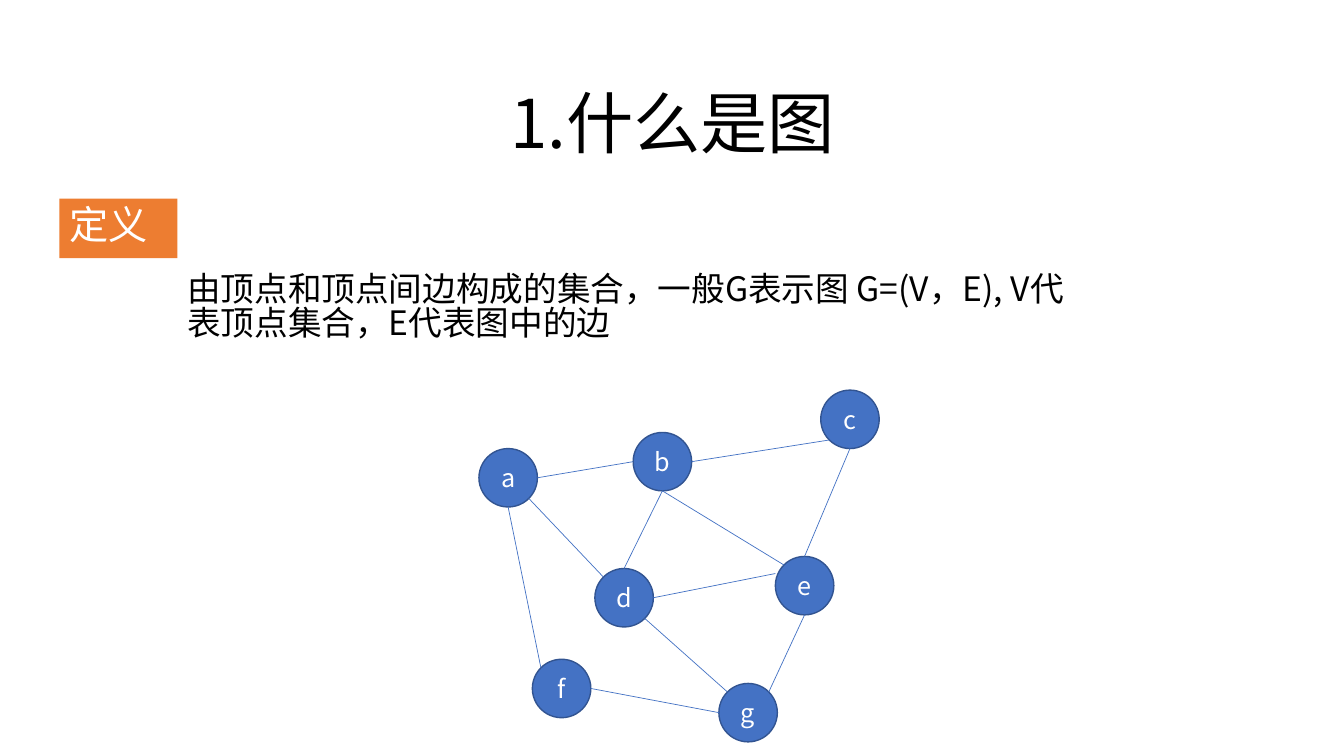
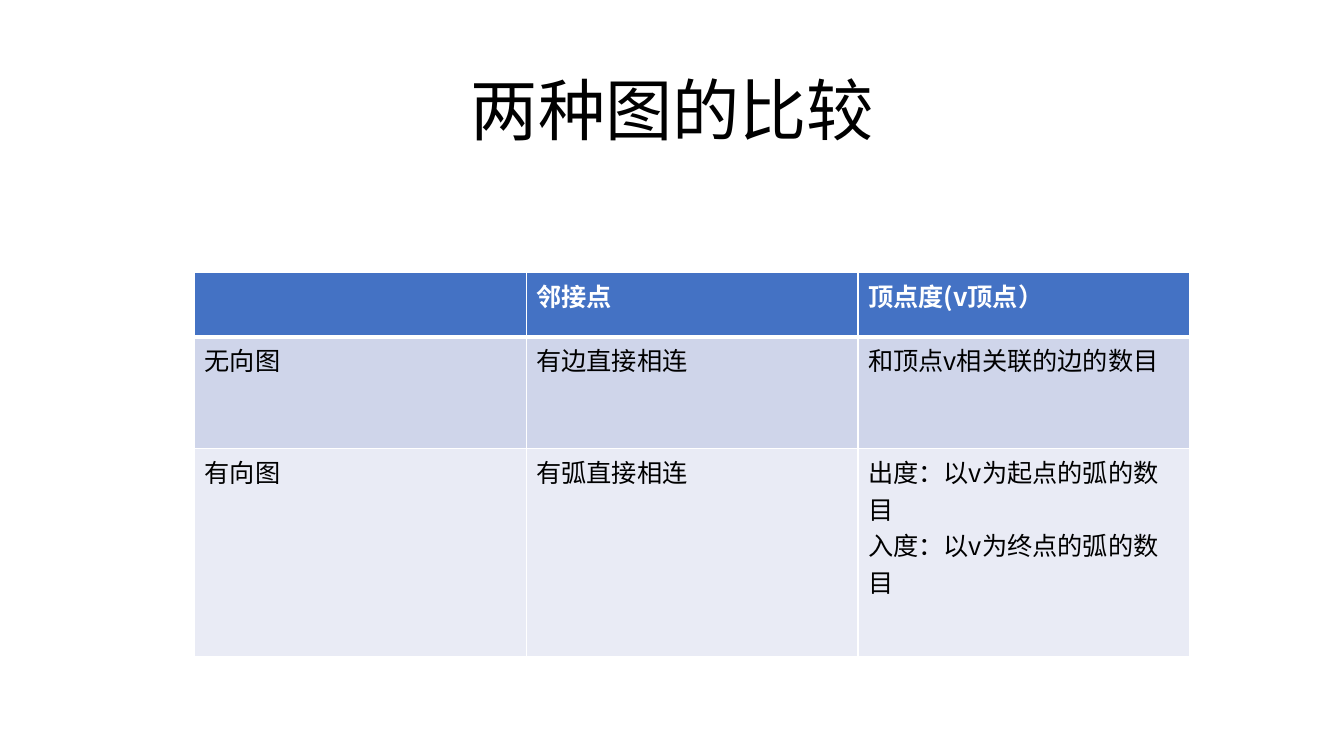
"""Build two slides on graphs: the definition and a comparison table."""
from lxml import etree
from pptx import Presentation
from pptx.dml.color import RGBColor
from pptx.enum.shapes import MSO_CONNECTOR, MSO_SHAPE
from pptx.enum.text import MSO_ANCHOR, MSO_AUTO_SIZE, PP_ALIGN
from pptx.oxml.ns import qn
from pptx.util import Inches, Pt

STRAIGHT = MSO_CONNECTOR.STRAIGHT
OVAL, RECTANGLE = MSO_SHAPE.OVAL, MSO_SHAPE.RECTANGLE
TOP, MIDDLE = MSO_ANCHOR.TOP, MSO_ANCHOR.MIDDLE
LEFT, CENTER = PP_ALIGN.LEFT, PP_ALIGN.CENTER
NO_AUTOFIT = MSO_AUTO_SIZE.NONE

FONT = "Noto Sans CJK SC"
BLACK, WHITE = "000000", "FFFFFF"
BLUE, DARK_BLUE, ORANGE = "4472C4", "325491", "ED7D31"
BANDS = ["CFD5EA", "E9EBF5"]
TITLE_ONLY = 5
LINE_SPACING = 0.83
VERTEX_SIZE = 0.58
DIAGONAL = 0.5 ** 0.5
SITES = {
    "top": (0, 0, -1),
    "top left": (1, -DIAGONAL, -DIAGONAL),
    "left": (2, -1, 0),
    "bottom left": (3, -DIAGONAL, DIAGONAL),
    "bottom": (4, 0, 1),
    "bottom right": (5, DIAGONAL, DIAGONAL),
    "right": (6, 1, 0),
    "top right": (7, DIAGONAL, -DIAGONAL),
}

VERTICES = {
    "a": (4.75, 4.45),
    "b": (6.28, 4.29),
    "c": (8.14, 3.87),
    "d": (5.9, 5.64),
    "e": (7.69, 5.52),
    "f": (5.28, 6.54),
    "g": (7.13, 6.78),
}
EDGES = [
    ("a", "right", "b", "left"),
    ("b", "right", "c", "bottom left"),
    ("c", "bottom", "e", "top"),
    ("a", "bottom right", "d", "top left"),
    ("b", "bottom", "d", "top"),
    ("b", "bottom", "e", "top left"),
    ("a", "bottom", "f", "top left"),
    ("f", "right", "g", "left"),
    ("e", "bottom", "g", "top right"),
    ("d", "bottom right", "g", "top left"),
]
COMPARISON = [
    ["", "邻接点", "顶点度(v顶点）"],
    ["无向图", "有边直接相连", "和顶点v相关联的边的数目"],
    ["有向图", "有弧直接相连", "出度：以v为起点的弧的数目\n入度：以v为终点的弧的数目"],
]


def color(value):
    """Return the colour for a hex string."""
    return RGBColor.from_string(value)


class GraphDeck:
    """Hold the deck, its style and the current slide."""

    def __init__(self):
        """Start an empty widescreen deck."""
        self.deck = Presentation()
        self.deck.slide_width = Inches(13.33)
        self.deck.slide_height = Inches(7.5)
        self.page = None

    def add_page(self, title, top):
        """Add a slide with a centred title."""
        self.page = self.deck.slides.add_slide(self.deck.slide_layouts[TITLE_ONLY])
        box = self.page.shapes.title
        box.left, box.top = Inches(2.25), Inches(top)
        box.width, box.height = Inches(8.84), Inches(0.91)
        self.set_block(box, title, 48, BLACK, CENTER)

    def set_text(self, frame, text, size, ink, align=LEFT, bold=False):
        """Set the text of a frame and format its runs."""
        frame.text = text
        for para in frame.paragraphs:
            para.alignment = align
            for span in para.runs:
                span.font.size, span.font.bold = Pt(size), bold
                span.font.color.rgb = color(ink)
                span.font.name = FONT
                properties = span.font._element
                etree.SubElement(properties, qn("a:ea"), typeface=FONT)

    def set_block(self, box, text, size, ink, align=LEFT):
        """Set top-aligned text with tight lines."""
        frame = box.text_frame
        frame.word_wrap = True
        frame.auto_size = NO_AUTOFIT
        frame.vertical_anchor = TOP
        frame.margin_top = Inches(0.05 + 0.11 * size / 72)
        frame.margin_bottom = 0
        self.set_text(frame, text, size, ink, align)
        for para in frame.paragraphs:
            para.line_spacing = LINE_SPACING

    def add_text(self, text, left, top, width, height, size):
        """Add a plain text box."""
        box = self.page.shapes.add_textbox(
            Inches(left), Inches(top), Inches(width), Inches(height))
        self.set_block(box, text, size, BLACK)

    def add_shape(self, kind, left, top, width, height, fill):
        """Add a flat filled shape without an outline."""
        shape = self.page.shapes.add_shape(
            kind, Inches(left), Inches(top), Inches(width), Inches(height))
        shape.shadow.inherit = False
        shape.fill.solid()
        shape.fill.fore_color.rgb = color(fill)
        shape.line.fill.background()
        return shape

    def add_label(self, text, left, top, width, height):
        """Add an orange section label."""
        label = self.add_shape(RECTANGLE, left, top, width, height, ORANGE)
        self.set_block(label, text, 28, WHITE)

    def add_vertex(self, name, left, top):
        """Add a named graph vertex."""
        vertex = self.add_shape(OVAL, left, top, VERTEX_SIZE, VERTEX_SIZE, BLUE)
        vertex.line.color.rgb = color(DARK_BLUE)
        vertex.line.width = Pt(1)
        vertex.text_frame.vertical_anchor = MIDDLE
        self.set_text(vertex.text_frame, name, 18, WHITE, CENTER)
        return vertex

    def add_edge(self, start, start_site, end, end_site, lift=0):
        """Join two vertices, leaving a lifted end unattached."""
        points = []
        for vertex, site in ((start, start_site), (end, end_site)):
            _, across, down = SITES[site]
            radius = vertex.width / 2
            points += [int(vertex.left + radius * (1 + across)),
                       int(vertex.top + radius * (1 + down))]
        points[3] -= Inches(lift)
        edge = self.page.shapes.add_connector(STRAIGHT, *points)
        edge.line.color.rgb = color(BLUE)
        edge.line.width = Pt(0.5)
        etree.SubElement(edge._element.spPr, qn("a:effectLst"))
        links = edge._element.nvCxnSpPr.cNvCxnSpPr
        ends = [("a:stCxn", start, start_site), ("a:endCxn", end, end_site)]
        for tag, vertex, site in ends[:1] if lift else ends:
            etree.SubElement(links, qn(tag), id=str(vertex.shape_id),
                             idx=str(SITES[site][0]))

    def add_borders(self, cell, top, bottom):
        """Give a cell white borders, one point wide at the sides."""
        properties = cell._tc.get_or_add_tcPr()
        for side, width in (("L", 1), ("R", 1), ("T", top), ("B", bottom)):
            line = etree.SubElement(properties, qn("a:ln" + side), w=str(Pt(width)))
            fill = etree.SubElement(line, qn("a:solidFill"))
            etree.SubElement(fill, qn("a:srgbClr"), val=WHITE)

    def add_table(self, rows, left, top, column_width, heights):
        """Add a banded table with a blue header."""
        columns = len(rows[0])
        table = self.page.shapes.add_table(
            len(rows), columns, Inches(left), Inches(top),
            Inches(column_width * columns), Inches(sum(heights))).table
        for column in table.columns:
            column.width = Inches(column_width)
        for index, texts in enumerate(rows):
            table.rows[index].height = Inches(heights[index])
            header = index == 0
            fill = BLUE if header else BANDS[(index - 1) % 2]
            for cell, text in zip(table.rows[index].cells, texts):
                self.add_borders(cell, 3 if index == 1 else 1, 3 if header else 1)
                cell.fill.solid()
                cell.fill.fore_color.rgb = color(fill)
                self.set_text(cell.text_frame, text, 18,
                              WHITE if header else BLACK, bold=header)


def main():
    """Build and save the deck."""
    deck = GraphDeck()

    deck.add_page("1.什么是图", 0.82)
    deck.add_text("由顶点和顶点间边构成的集合，一般G表示图 G=(V，E), V代表顶点集合，E代表图中的边",
                  1.76, 2.64, 9.03, 0.91, 24)
    deck.add_label("定义", 0.59, 1.97, 1.17, 0.59)
    vertices = {name: deck.add_vertex(name, *place)
                for name, place in VERTICES.items()}
    for start, start_site, end, end_site in EDGES:
        deck.add_edge(vertices[start], start_site, vertices[end], end_site)
    deck.add_edge(vertices["d"], "right", vertices["e"], "left", lift=0.12)

    deck.add_page("两种图的比较", 0.69)
    deck.add_table(COMPARISON, 1.93, 2.7, 3.29, [0.64, 1.11, 2.06])

    deck.deck.save("out.pptx")


if __name__ == "__main__":
    main()
